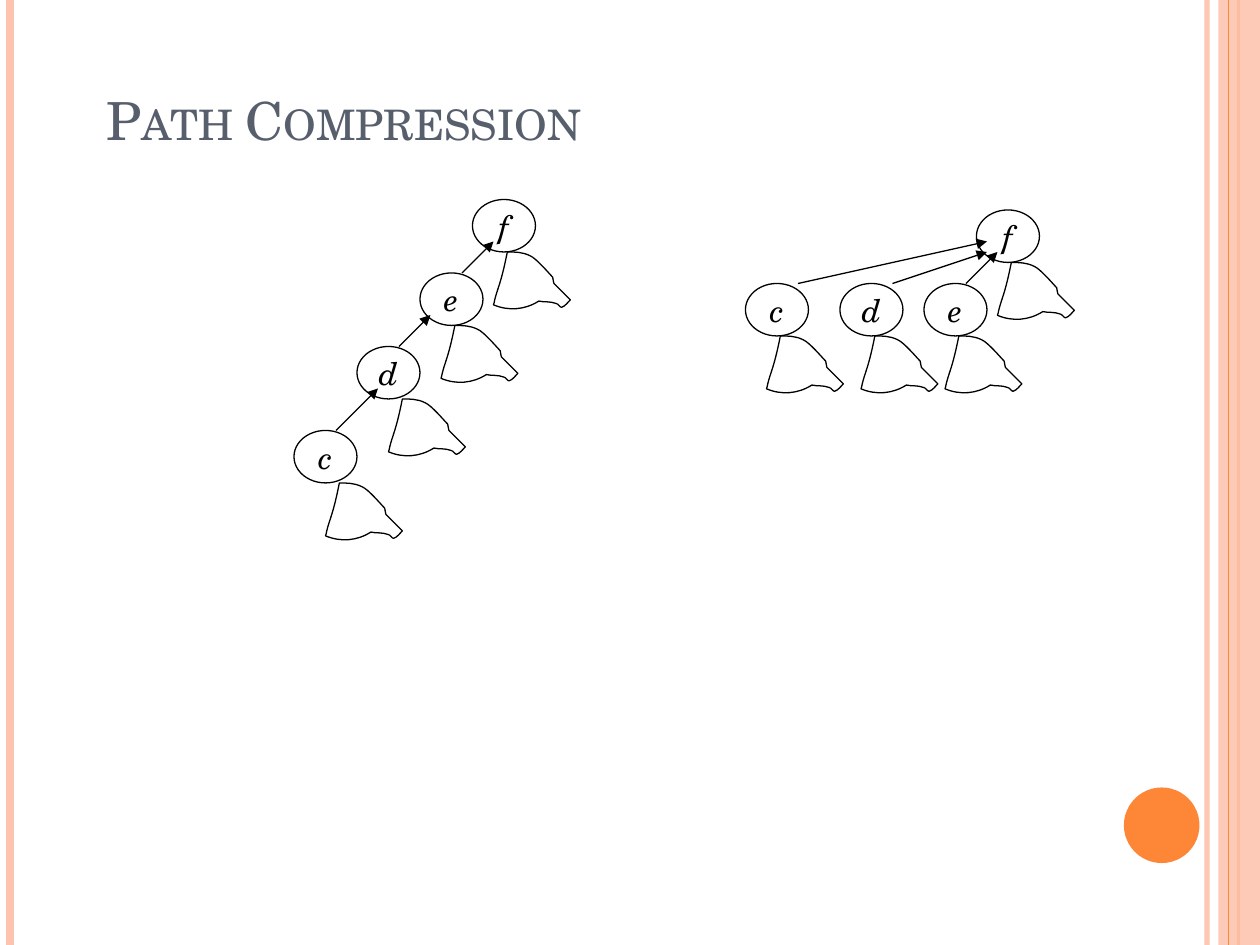
from lxml import etree
from pptx import Presentation
from pptx.dml.color import RGBColor
from pptx.enum.shapes import MSO_CONNECTOR, MSO_SHAPE
from pptx.enum.text import MSO_ANCHOR, PP_ALIGN
from pptx.oxml.ns import qn
from pptx.util import Inches, Pt

STRAIGHT = MSO_CONNECTOR.STRAIGHT
OVAL, RECTANGLE = MSO_SHAPE.OVAL, MSO_SHAPE.RECTANGLE
MIDDLE, BOTTOM = MSO_ANCHOR.MIDDLE, MSO_ANCHOR.BOTTOM
CENTER, LEFT = PP_ALIGN.CENTER, PP_ALIGN.LEFT

FONT = "TeX Gyre Schola"
BLACK, SLATE, ORANGE, PEACH = "000000", "575F6D", "FE8637", "FEC3AE"
WIDTH, HEIGHT = 10, 7.5

TITLE = "Path Compression"
TITLE_FORMAT = {"name": FONT, "size": Pt(30)}
NODE_FORMAT = {"name": FONT, "size": Pt(18), "italic": True}

# x, colour, width in points, opacity in percent
RULES_BELOW_BAND = [
    (9.58, PEACH, 3, 93),
    (0.08, PEACH, 4.5, 100),
    (9.83, ORANGE, 1.5, 100),
]
RULES_ABOVE_BAND = [(9.75, ORANGE, 0.75, 100)]
BAND = (9.67, 0, 0.33, HEIGHT)
DISC = (8.92, 6.25, 0.6, 0.6)

# The trees lie on a grid of twelfths of an inch
GRID = 12
NODE_WIDTH, NODE_HEIGHT = 6, 5

# Each node: label, left, top, left of the subtree below it
TREES = [
    {
        "nodes": [("f", 45, 19, 47), ("e", 40, 26, 42),
                  ("d", 34, 33, 37), ("c", 28, 41, 31)],
        "arrows": [(44, 26, 47, 23), (38, 33, 41, 30), (32, 41, 36, 37)],
    },
    {
        "nodes": [("f", 93, 20, 95), ("e", 88, 27, 90),
                  ("d", 80, 27, 82), ("c", 71, 27, 73)],
        "arrows": [(92, 27, 95, 24), (85, 27, 94, 24), (76, 27, 94, 23)],
    },
]

# Subtree outline: start point, then Bezier curves (two controls and an end)
SUBTREE_HEIGHT = 0.47
SUBTREE_START = (0.11, 0)
SUBTREE_CURVES = [
    ((0.09, 0.1), (0.07, 0.19), (0.04, 0.28)),
    ((0.03, 0.31), (0.02, 0.34), (0.01, 0.38)),
    ((0.01, 0.39), (0, 0.42), (0, 0.42)),
    ((0.12, 0.47), (0.25, 0.46), (0.36, 0.39)),
    ((0.4, 0.4), (0.45, 0.39), (0.5, 0.41)),
    ((0.51, 0.41), (0.53, 0.44), (0.54, 0.44)),
    ((0.57, 0.43), (0.59, 0.4), (0.61, 0.38)),
    ((0.56, 0.33), (0.52, 0.29), (0.48, 0.25)),
    ((0.47, 0.24), (0.48, 0.22), (0.47, 0.2)),
    ((0.44, 0.17), (0.34, 0.05), (0.29, 0.03)),
    ((0.23, 0), (0.17, 0), (0.11, 0)),
]


def color(value):
    return RGBColor.from_string(value)


def inches(values):
    return [Inches(value) for value in values]


def grid(*values):
    return [value / GRID for value in values]


def set_opacity(element, percent):
    """Add an alpha value to the solid colour inside a fill or line element."""
    tint = element.find(".//" + qn("a:srgbClr"))
    etree.SubElement(tint, qn("a:alpha")).set("val", str(percent * 1000))


def add_line(page, ends, tint, width, opacity=100, arrow=False):
    line = page.shapes.add_connector(STRAIGHT, *inches(ends))
    line.line.color.rgb = color(tint)
    line.line.width = Pt(width)
    properties = line._element.spPr
    outline = properties.find(qn("a:ln"))
    if opacity < 100:
        set_opacity(outline, opacity)
    if arrow:
        etree.SubElement(outline, qn("a:tailEnd")).set("type", "triangle")
    etree.SubElement(properties, qn("a:effectLst"))


def add_rules(page, rules):
    for x, tint, width, opacity in rules:
        add_line(page, (x, 0, x, HEIGHT), tint, width, opacity)


def add_filled(page, kind, area, tint):
    shape = page.shapes.add_shape(kind, *inches(area))
    shape.shadow.inherit = False
    shape.fill.solid()
    shape.fill.fore_color.rgb = color(tint)
    shape.line.fill.background()
    return shape


def outline_only(shape):
    shape.shadow.inherit = False
    shape.fill.background()
    shape.line.color.rgb = color(BLACK)
    shape.line.width = Pt(0.75)


def write(box, text, formats, tint, anchor, alignment, wrap):
    frame = box.text_frame
    frame.word_wrap = wrap
    frame.vertical_anchor = anchor
    para = frame.paragraphs[0]
    para.alignment = alignment
    span = para.add_run()
    span.text = text
    for name, value in formats.items():
        setattr(span.font, name, value)
    span.font.color.rgb = color(tint)
    return span


def add_node(page, label, left, top):
    area = grid(left, top, NODE_WIDTH, NODE_HEIGHT)
    node = page.shapes.add_shape(OVAL, *inches(area))
    outline_only(node)
    write(node, label, NODE_FORMAT, BLACK, MIDDLE, CENTER, False)


def add_subtree(page, left, top):
    """Build the outline from curve ends, then bend each side into its curve."""
    points = [inches((left + x, top + y))
              for x, y in [SUBTREE_START] + [curve[-1] for curve in SUBTREE_CURVES]]
    builder = page.shapes.build_freeform(*points[0])
    builder.add_line_segments(points[1:], close=True)
    shape = builder.convert_to_shape()
    outline = shape._element.spPr.find(".//" + qn("a:path"))
    for side, curve in zip(outline.findall(qn("a:lnTo")), SUBTREE_CURVES):
        bend = etree.Element(qn("a:cubicBezTo"))
        for x, y in curve:
            point = etree.SubElement(bend, qn("a:pt"))
            point.set("x", str(Inches(x)))
            point.set("y", str(Inches(y)))
        outline.replace(side, bend)
    shape.height = Inches(SUBTREE_HEIGHT)
    outline.set("h", str(Inches(SUBTREE_HEIGHT)))
    outline_only(shape)


def add_frame(page):
    add_rules(page, RULES_BELOW_BAND)
    band = add_filled(page, RECTANGLE, BAND, PEACH)
    set_opacity(band._element.spPr, 87)
    add_rules(page, RULES_ABOVE_BAND)
    add_filled(page, OVAL, DISC, ORANGE)


def add_title(page):
    box = page.shapes.add_textbox(*inches((0.75, 0, 8.5, 1.25)))
    span = write(box, TITLE, TITLE_FORMAT, SLATE, BOTTOM, LEFT, True)
    span.font._element.set("cap", "small")


def add_tree(page, tree):
    for label, left, top, _ in tree["nodes"]:
        add_node(page, label, left, top)
    for ends in tree["arrows"]:
        add_line(page, grid(*ends), BLACK, 0.75, arrow=True)
    for _, _, top, subtree_left in tree["nodes"]:
        add_subtree(page, *grid(subtree_left, top + NODE_HEIGHT))


def main():
    deck = Presentation()
    deck.slide_width, deck.slide_height = inches((WIDTH, HEIGHT))
    page = deck.slides.add_slide(deck.slide_layouts[6])
    add_frame(page)
    add_title(page)
    for tree in TREES:
        add_tree(page, tree)
    deck.save("out.pptx")


if __name__ == "__main__":
    main()
